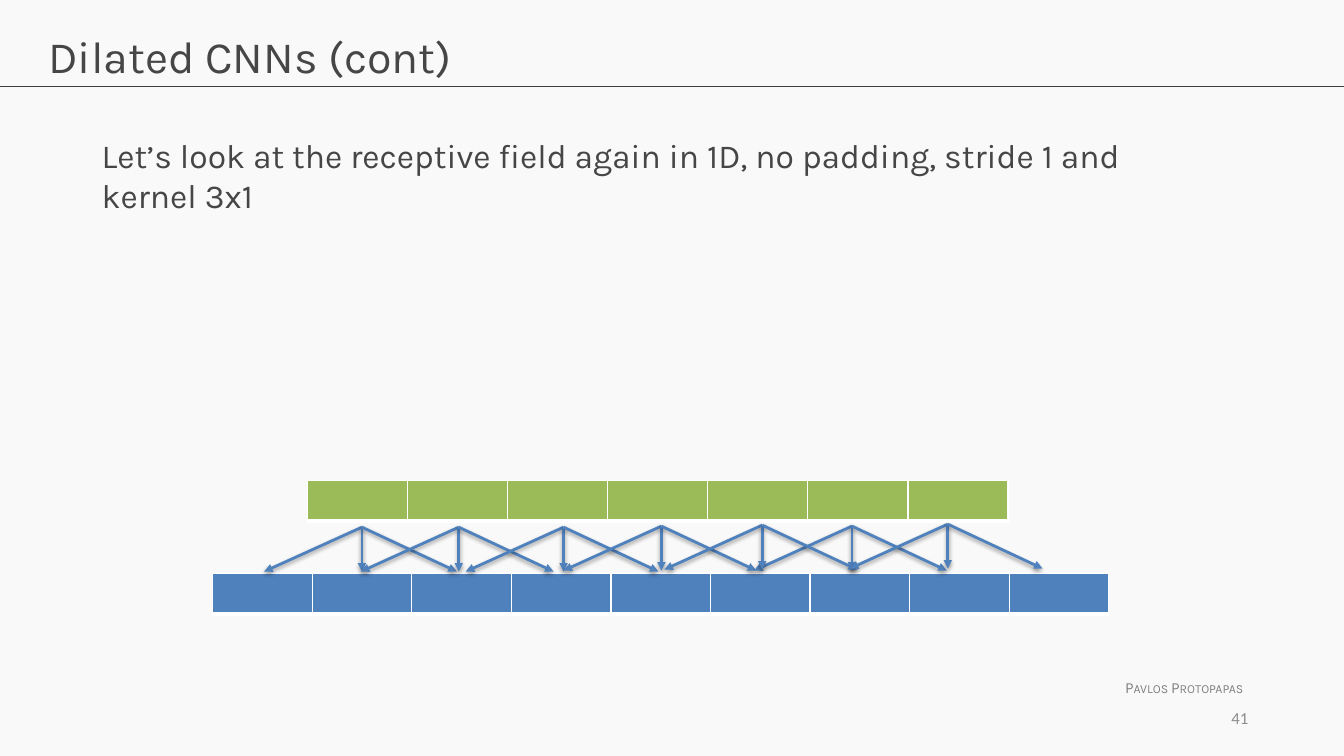
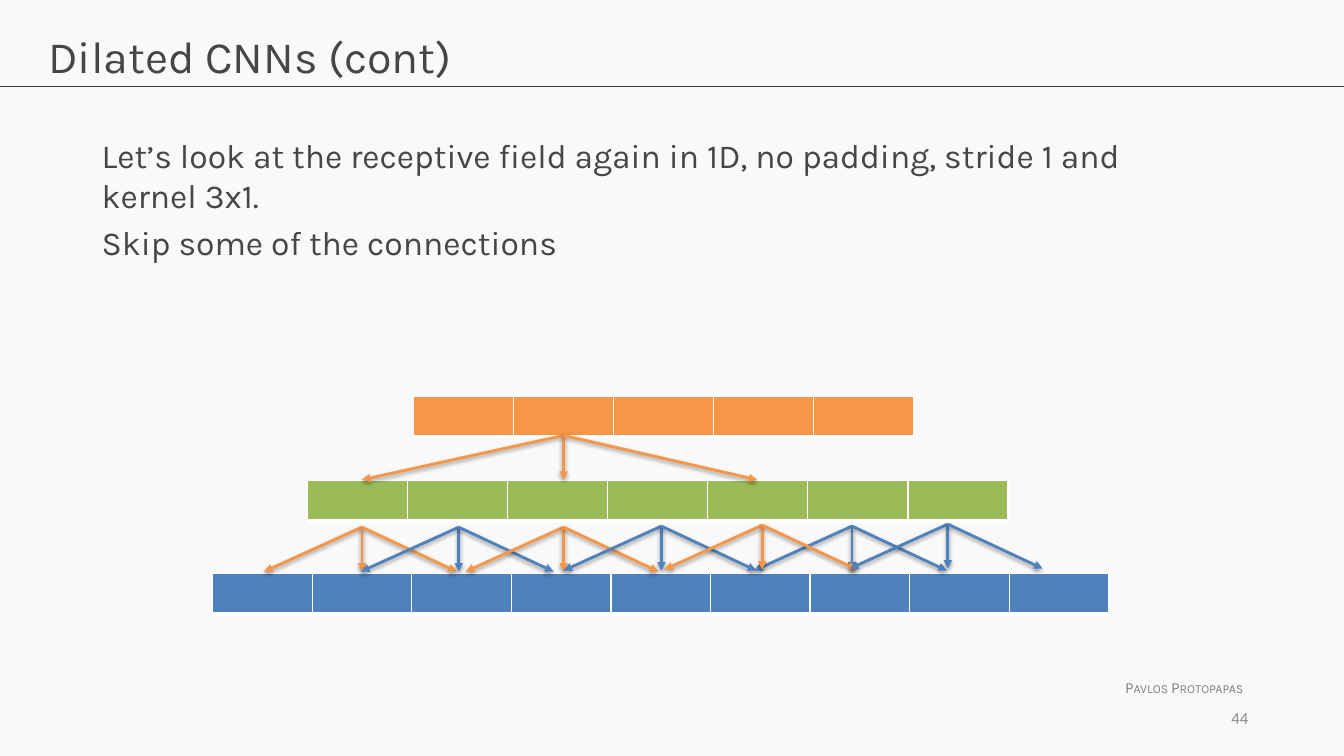
from lxml import etree
from pptx import Presentation
from pptx.dml.color import RGBColor
from pptx.enum.shapes import MSO_CONNECTOR
from pptx.enum.text import MSO_ANCHOR, PP_ALIGN
from pptx.oxml import parse_xml
from pptx.oxml.ns import nsdecls, qn
from pptx.util import Inches, Pt

STRAIGHT = MSO_CONNECTOR.STRAIGHT
LEFT, RIGHT = PP_ALIGN.LEFT, PP_ALIGN.RIGHT
TOP, MIDDLE = MSO_ANCHOR.TOP, MSO_ANCHOR.MIDDLE

PAPER, INK, RULE, WHITE = "F9F9F9", "464646", "404040", "FFFFFF"
BLUE, GREEN, ORANGE = "4F81BD", "9BBB59", "F79646"
rgb = RGBColor.from_string

# Text styles: font, size, colour, alignment, anchor, wrap
STYLES = {
    "title": ("Karla", 32, INK, LEFT, TOP, True),
    "body": ("Karla", 24, INK, LEFT, TOP, True),
    "author": ("Karla", 11, "808080", LEFT, TOP, False),
    "number": ("Calibri", 12, "8C8C8C", RIGHT, MIDDLE, True),
}

SHADOW = f"""<a:effectLst {nsdecls("a")}>
  <a:outerShdw blurRad="40000" dist="20000" dir="5400000" rotWithShape="0">
    <a:srgbClr val="000000"><a:alpha val="38000"/></a:srgbClr>
  </a:outerShdw>
</a:effectLst>"""

# Cell borders: tag and width in points
BORDERS = {"a:lnL": 1, "a:lnR": 1, "a:lnT": 1, "a:lnB": 3}

# Layers of cells: left, top, width, count, colour
INPUT = (2.11, 5.69, 8.89, 9, BLUE)
HIDDEN = (3.05, 4.77, 6.95, 7, GREEN)
OUTPUT = (4.10, 3.93, 4.96, 5, ORANGE)

# Where the arrows of each hidden cell start, in drawing order
STARTS = [(3.59, 5.23), (4.55, 5.23), (5.59, 5.23), (6.56, 5.22),
          (8.45, 5.22), (7.56, 5.21), (9.40, 5.20)]
KEPT = {3.59, 5.59, 7.56}
NEAR = (-0.97, 0, 0.94)
FAR = (-2, 0, 1.92)

LEAD = ("Let’s look at the receptive field again in 1D, "
        "no padding, stride 1 and kernel 3x1")
SLIDES = [
    {"number": "41", "body": [LEAD], "layers": [INPUT, HIDDEN],
     "fans": [(x, y, NEAR, BLUE) for x, y in STARTS]},
    {"number": "44", "body": [LEAD + ".", "Skip some of the connections"],
     "layers": [INPUT, HIDDEN, OUTPUT],
     "fans": [(x, y, NEAR, ORANGE if x in KEPT else BLUE) for x, y in STARTS]
     + [(5.59, 4.32, FAR, ORANGE)]},
]


def add_text(slide, style, lines, left, top, width, height):
    font, size, color, align, anchor, wrap = STYLES[style]
    box = slide.shapes.add_textbox(Inches(left), Inches(top),
                                   Inches(width), Inches(height))
    frame = box.text_frame
    frame.word_wrap = wrap
    frame.vertical_anchor = anchor
    for i, line in enumerate(lines):
        para = frame.paragraphs[0] if i == 0 else frame.add_paragraph()
        para.alignment = align
        if i:
            para.space_before = Pt(0.2 * size)
        run = para.add_run()
        run.text = line
        run.font.name = font
        run.font.size = Pt(size)
        run.font.color.rgb = rgb(color)
        if style == "author":
            run.font._element.set("cap", "small")


def add_line(slide, start, end, color, width, arrow=False):
    """Draw a straight line; an arrow also gets a head and a soft shadow."""
    line = slide.shapes.add_connector(
        STRAIGHT, *[Inches(value) for value in (*start, *end)])
    line.line.color.rgb = rgb(color)
    line.line.width = Pt(width)
    props = line.element.spPr
    if arrow:
        etree.SubElement(props.find(qn("a:ln")), qn("a:tailEnd"), type="triangle")
        props.append(parse_xml(SHADOW))
    else:
        etree.SubElement(props, qn("a:effectLst"))


prs = Presentation()
prs.slide_width, prs.slide_height = Inches(13.33), Inches(7.5)

for page in SLIDES:
    slide = prs.slides.add_slide(prs.slide_layouts[6])
    slide.background.fill.solid()
    slide.background.fill.fore_color.rgb = rgb(PAPER)

    add_line(slide, (0, 0.86), (13.33, 0.86), RULE, 0.75)
    add_text(slide, "author", ["Pavlos Protopapas"], 11.06, 6.68, 1.41, 0.29)
    add_text(slide, "title", ["Dilated CNNs (cont)"], 0.38, 0.24, 12.57, 0.84)
    add_text(slide, "body", page["body"], 0.91, 1.29, 11.29, 2.31)
    add_text(slide, "number", [page["number"]], 9.37, 6.92, 3.11, 0.4)

    for left, top, width, count, color in page["layers"]:
        table = slide.shapes.add_table(1, count, Inches(left), Inches(top),
                                       Inches(width), Inches(0.4)).table
        table.first_row = table.horz_banding = False
        for cell in table.iter_cells():
            cell.margin_top = cell.margin_bottom = 0
            props = cell._tc.get_or_add_tcPr()
            for tag, points in BORDERS.items():
                edge = etree.SubElement(props, qn(tag), w=str(Pt(points)))
                fill = etree.SubElement(edge, qn("a:solidFill"))
                etree.SubElement(fill, qn("a:srgbClr"), val=WHITE)
            cell.fill.solid()
            cell.fill.fore_color.rgb = rgb(color)

    for x, y, shifts, color in page["fans"]:
        for shift in shifts:
            add_line(slide, (x, y), (x + shift, y + 0.44), color, 2, arrow=True)

prs.save("out.pptx")
